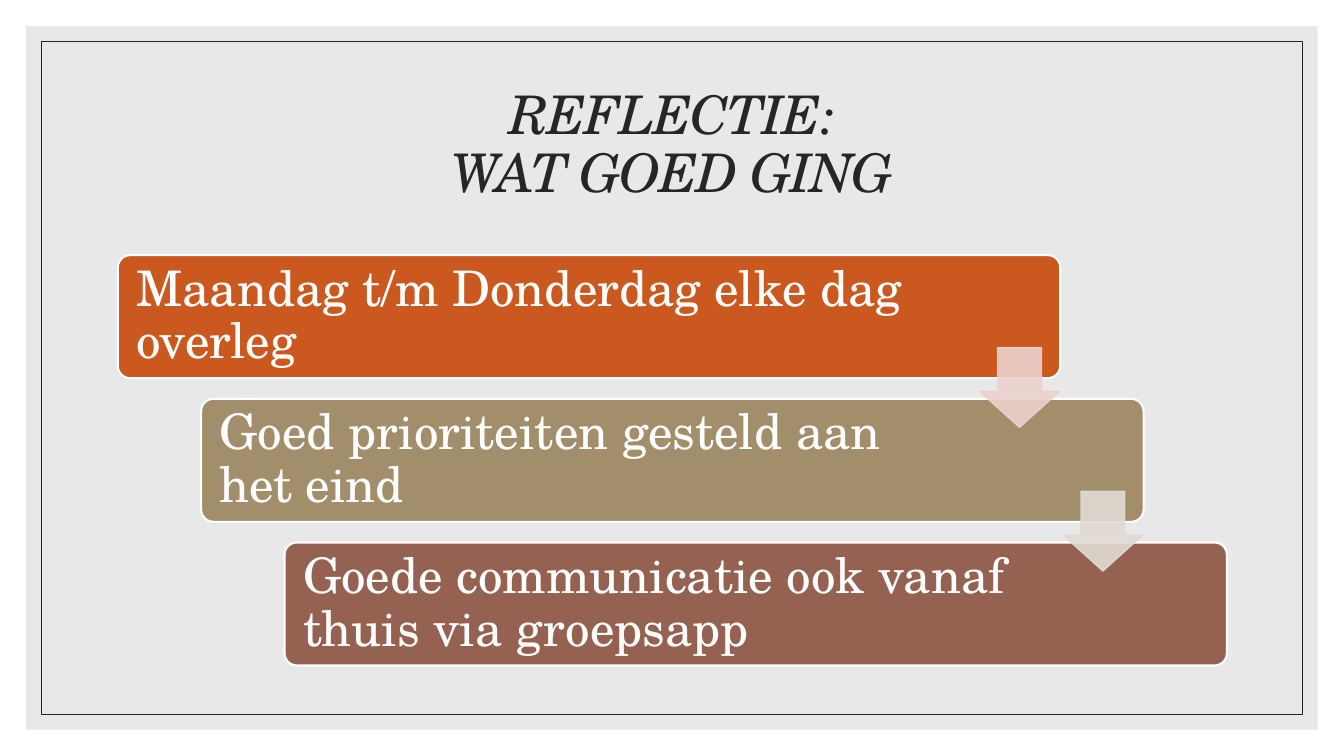
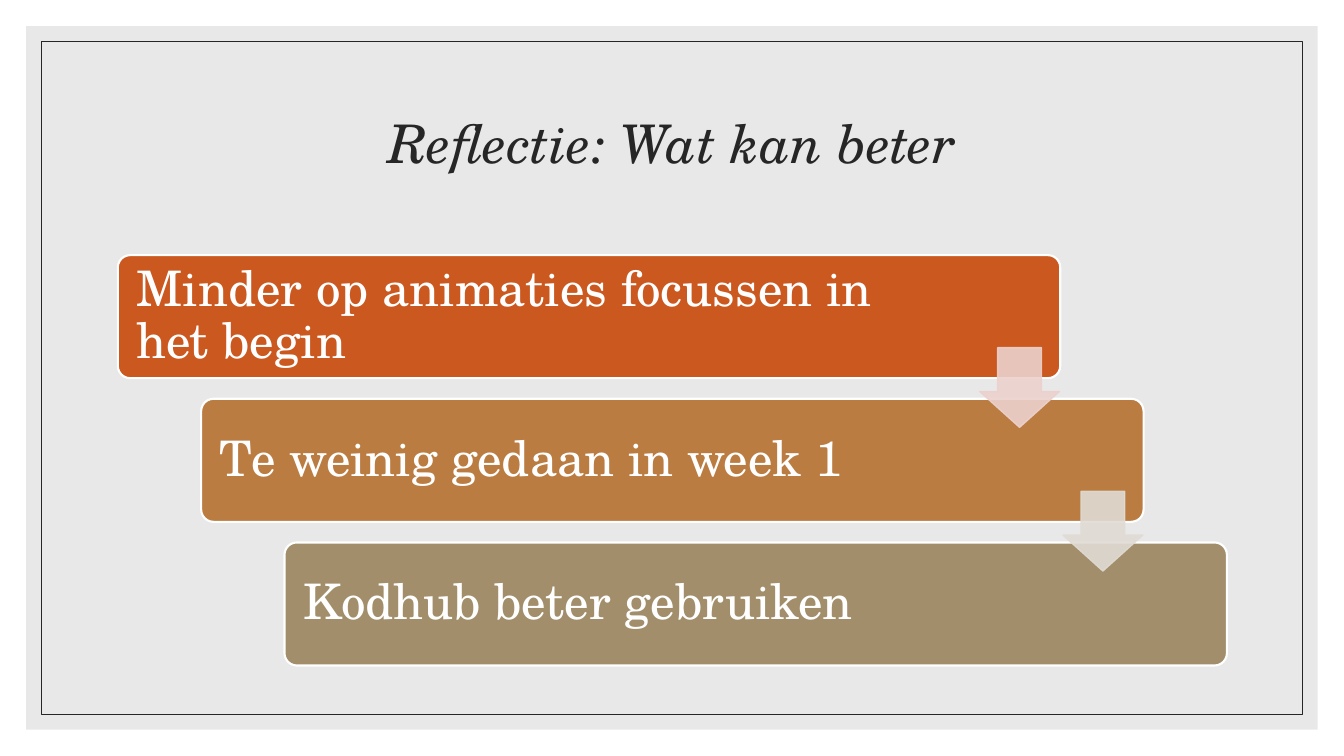
"""Build two reflection slides with stepped statements joined by arrows."""
import dataclasses

import lxml.etree
import pptx
import pptx.dml.color
import pptx.enum.shapes
import pptx.enum.text
import pptx.oxml.ns
import pptx.util

Cm = pptx.util.Cm
Pt = pptx.util.Pt
RGB = pptx.dml.color.RGBColor.from_string
PRESET = pptx.enum.shapes.MSO_SHAPE
ALIGN = pptx.enum.text.PP_ALIGN
MIDDLE = pptx.enum.text.MSO_ANCHOR.MIDDLE


@dataclasses.dataclass(frozen=True)
class Theme:
    font: str = "TeX Gyre Schola"
    title_size: int = 38
    step_size: int = 35
    line_spacing: float = 0.9
    ink: str = "262626"
    white: str = "FFFFFF"
    panel: str = "D9D9D9"
    orange: str = "CB581F"
    ochre: str = "BA7C41"
    khaki: str = "A28E6A"
    brown: str = "956251"
    arrows: tuple = ("ECD1CD", "E0DBD4")


theme = Theme()


def draw(shapes, preset, box, fill=None, line=None, width=1, opacity=100, adjust=()):
    """Add a preset shape, with its box in centimetres."""
    shape = shapes.add_shape(preset, *map(Cm, box))
    shape.shadow.inherit = False
    for index, value in enumerate(adjust):
        shape.adjustments[index] = value
    for paint, colour in ((shape.fill, fill), (shape.line.fill, line)):
        if colour is None:
            paint.background()
        else:
            paint.solid()
            paint.fore_color.rgb = RGB(colour)
    if line:
        shape.line.width = Pt(width)
    if opacity < 100:
        for colour in shape.element.spPr.iter(pptx.oxml.ns.qn("a:srgbClr")):
            alpha = lxml.etree.SubElement(colour, pptx.oxml.ns.qn("a:alpha"))
            alpha.set("val", str(opacity * 1000))
    return shape


def format_text(frame, frame_format, align, size, colour, italic=False):
    """Format a text frame, its paragraphs and their runs."""
    paragraph_format = {"alignment": align, "line_spacing": theme.line_spacing}
    font_format = {"name": theme.font, "size": Pt(size), "italic": italic}
    for name, value in frame_format.items():
        setattr(frame, name, value)
    for paragraph in frame.paragraphs:
        for name, value in paragraph_format.items():
            setattr(paragraph, name, value)
        for run in paragraph.runs:
            for name, value in font_format.items():
                setattr(run.font, name, value)
            run.font.color.rgb = RGB(colour)


SLIDE_W, SLIDE_H = 33.87, 19.05
PANEL_MARGIN, FRAME_MARGIN = 0.66, 1.04
STEP_X, STEP_Y, STEP_W, STEP_H = 2.97, 6.43, 23.75, 3.1
SHIFT_X, SHIFT_Y = 2.1, 3.62
ARROW_X, ARROW_Y, ARROW_SIZE = 24.69, 8.76, 2.01
INSET = 0.38
RIGHT_INSETS = (3.57, 4.48, 4.48)

reflections = [
    ("REFLECTIE:\vWAT GOED GING", -100, [
        ("Maandag t/m Donderdag elke dag overleg", theme.orange),
        ("Goed prioriteiten gesteld aan het eind", theme.khaki),
        ("Goede communicatie ook vanaf thuis via groepsapp", theme.brown),
    ]),
    ("Reflectie: Wat kan beter", 0, [
        ("Minder op animaties focussen in het begin", theme.orange),
        ("Te weinig gedaan in week 1", theme.ochre),
        ("Kodhub beter gebruiken", theme.khaki),
    ]),
]

deck = pptx.Presentation()
deck.slide_width, deck.slide_height = Cm(SLIDE_W), Cm(SLIDE_H)
layout = deck.slide_layouts.get_by_name("Title Only")
title_box = {"left": Cm(2.97), "top": Cm(1.78), "width": Cm(27.94), "height": Cm(3.81)}
for name, value in title_box.items():
    setattr(layout.placeholders[0], name, value)

slides = [deck.slides.add_slide(layout) for reflection in reflections]

backdrop = [
    (PANEL_MARGIN, {"fill": theme.panel, "opacity": 60}),
    (FRAME_MARGIN, {"line": theme.ink, "width": 0.5}),
]
for order, (margin, look) in enumerate(backdrop):
    box = (margin, margin, SLIDE_W - 2 * margin, SLIDE_H - 2 * margin)
    border = draw(slides[0].shapes, PRESET.RECTANGLE, box, **look)
    layout.shapes.element.insert(2 + order, border.element)

for slide, (heading, spacing, steps) in zip(slides, reflections):
    title = slide.shapes.title.text_frame
    title.text = heading
    format_text(title, {"vertical_anchor": MIDDLE, "word_wrap": True},
                ALIGN.CENTER, theme.title_size, theme.ink, italic=True)
    if spacing:
        for run in title.paragraphs[0].runs:
            run.font._element.set("spc", str(spacing))

    staircase = slide.shapes.add_group_shape().shapes
    for index, (statement, colour) in enumerate(steps):
        box = (STEP_X + index * SHIFT_X, STEP_Y + index * SHIFT_Y, STEP_W, STEP_H)
        step = draw(staircase, PRESET.ROUNDED_RECTANGLE, box, colour,
                    theme.white, 1.5, adjust=(0.1,))
        step.text_frame.text = statement
        step_format = {
            "vertical_anchor": MIDDLE, "word_wrap": True,
            "margin_left": Cm(INSET), "margin_right": Cm(RIGHT_INSETS[index]),
            "margin_top": Cm(INSET), "margin_bottom": Cm(INSET),
        }
        format_text(step.text_frame, step_format, ALIGN.LEFT, theme.step_size, theme.white)

    for index, colour in enumerate(theme.arrows):
        box = (ARROW_X + index * SHIFT_X, ARROW_Y + index * SHIFT_Y, ARROW_SIZE, ARROW_SIZE)
        draw(staircase, PRESET.DOWN_ARROW, box, colour, colour,
             opacity=90, adjust=(0.55, 0.45))

deck.save("out.pptx")
